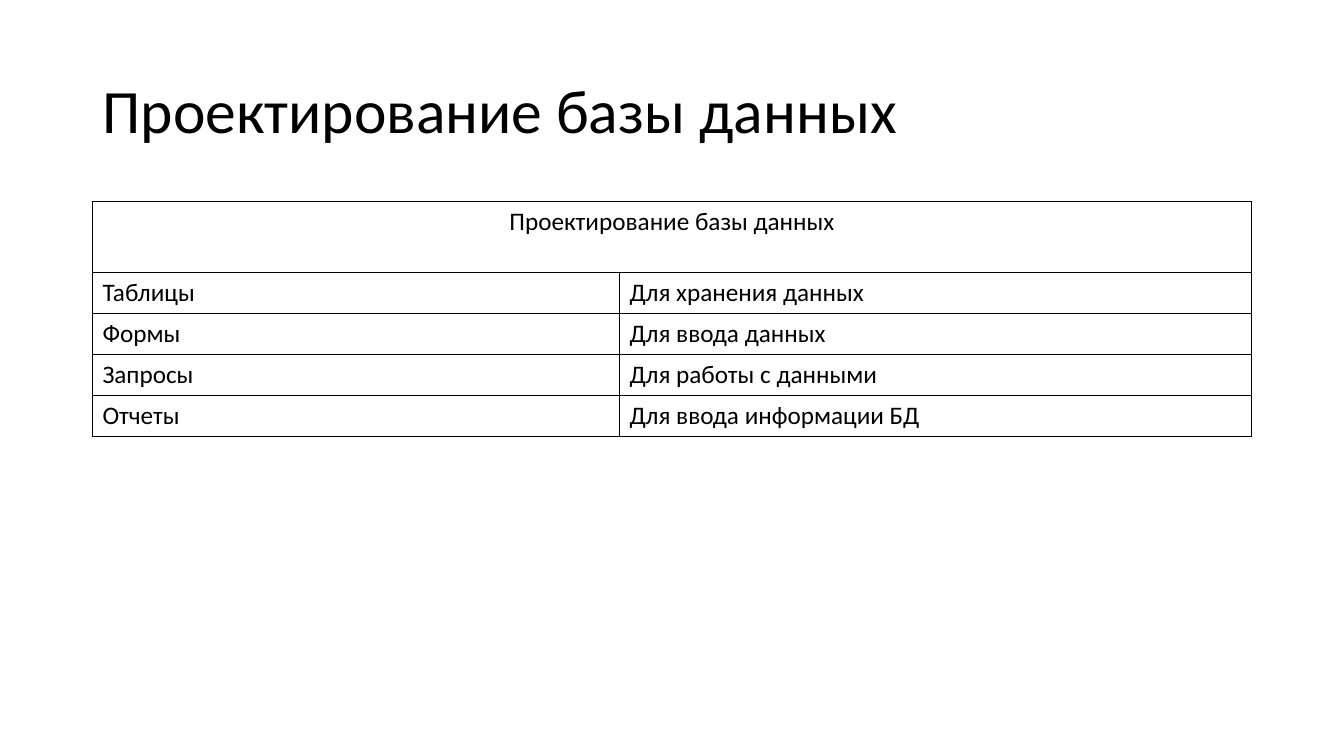
import pptx
import pptx.util
import pptx.dml.color
import pptx.enum.text
import pptx.oxml
import pptx.oxml.ns
from pptx.util import Cm

# Content
TITLE = "Проектирование базы данных"
HEADER = "Проектирование базы данных"
OBJECTS = [
    ("Таблицы", "Для хранения данных"),
    ("Формы", "Для ввода данных"),
    ("Запросы", "Для работы с данными"),
    ("Отчеты", "Для ввода информации БД"),
]

# Look and measures
COLORS = {"text": "000000", "border": "000000"}
FONT = "Calibri"
LEFT, WIDTH = 2.33, 29.21
TITLE_TOP, TITLE_HEIGHT = 1.01, 3.68
TABLE_TOP = 5.08
FIRST_COLUMN = 13.28
HEADER_HEIGHT, ROW_HEIGHT = 1.79, 1.03


def style_text(frame, size, align):
    for para in frame.paragraphs:
        para.alignment = align
        for span in para.runs:
            span.font.name = FONT
            span.font.size = pptx.util.Pt(size)
            span.font.bold = False
            span.font.color.rgb = pptx.dml.color.RGBColor.from_string(COLORS["text"])


def style_cell(cell):
    properties = cell._tc.get_or_add_tcPr()
    for side in ("lnL", "lnR", "lnT", "lnB"):
        properties.append(pptx.oxml.parse_xml(
            f'<a:{side} {pptx.oxml.ns.nsdecls("a")} w="12700"><a:solidFill>'
            f'<a:srgbClr val="{COLORS["border"]}"/></a:solidFill></a:{side}>'))
    cell.fill.background()


def main():
    deck = pptx.Presentation()
    deck.slide_width, deck.slide_height = Cm(33.87), Cm(19.05)
    page = deck.slides.add_slide(deck.slide_layouts[5])
    align = pptx.enum.text.PP_ALIGN

    # Title
    title = page.shapes.title
    title.left, title.top = Cm(LEFT), Cm(TITLE_TOP)
    title.width, title.height = Cm(WIDTH), Cm(TITLE_HEIGHT)
    title.text_frame.text = TITLE
    title.text_frame.vertical_anchor = pptx.enum.text.MSO_ANCHOR.MIDDLE
    title.text_frame.paragraphs[0].line_spacing = 0.9
    style_text(title.text_frame, 44, align.LEFT)

    # Table
    rows = [(HEADER, "")] + OBJECTS
    heights = [HEADER_HEIGHT] + [ROW_HEIGHT] * len(OBJECTS)
    table = page.shapes.add_table(len(rows), 2, Cm(LEFT), Cm(TABLE_TOP),
                                  Cm(WIDTH), Cm(sum(heights))).table
    table.first_row = table.horz_banding = False
    table.columns[0].width = Cm(FIRST_COLUMN)
    table.columns[1].width = Cm(WIDTH - FIRST_COLUMN)
    table.cell(0, 0).merge(table.cell(0, 1))
    for r, (texts, height) in enumerate(zip(rows, heights)):
        table.rows[r].height = Cm(height)
        for c, text in enumerate(texts):
            cell = table.cell(r, c)
            style_cell(cell)
            if text:
                cell.text_frame.text = text
                style_text(cell.text_frame, 18, align.LEFT if r else align.CENTER)

    deck.save("out.pptx")


if __name__ == "__main__":
    main()
